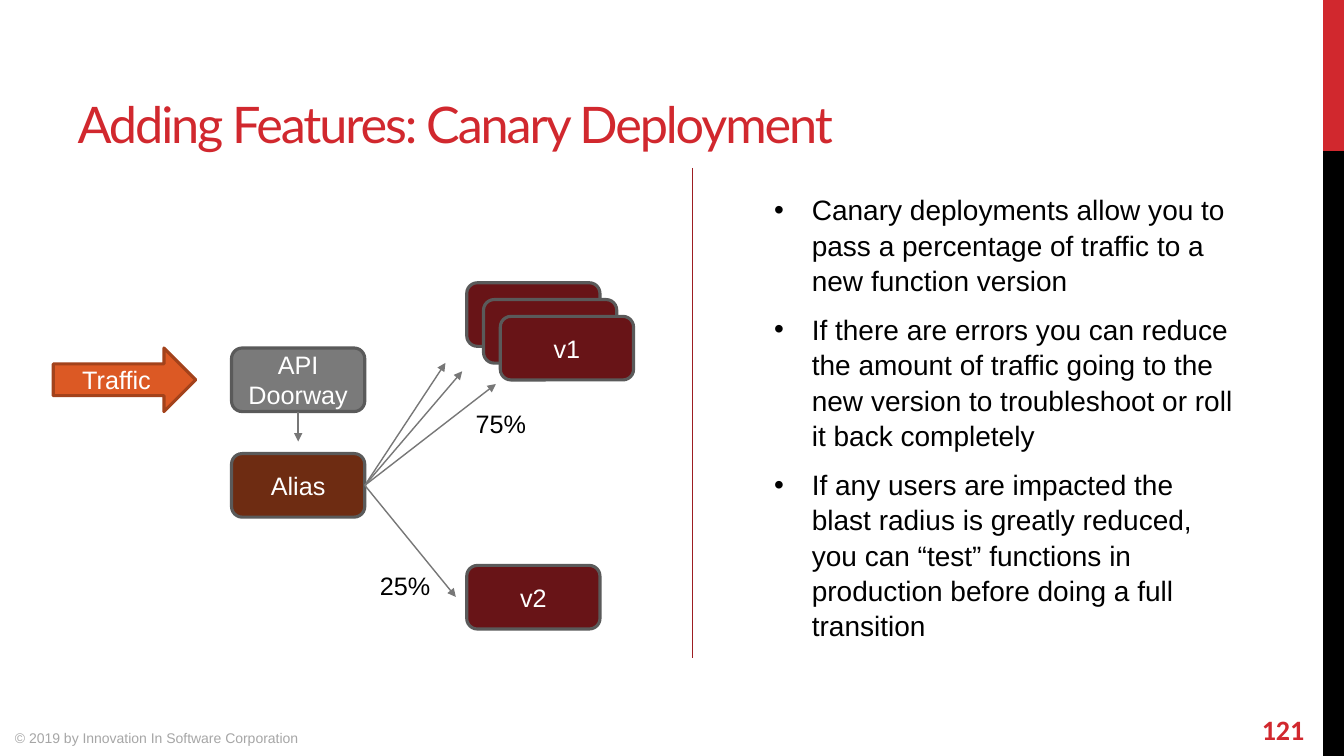
"""Build the canary deployment slide."""
from dataclasses import dataclass

import pptx
import pptx.dml.color
import pptx.enum.shapes
import pptx.enum.text
import pptx.oxml.ns
import pptx.shapes.autoshape
import pptx.shapes.base
import pptx.shapes.connector
import pptx.slide
import pptx.text.text
import pptx.util
from lxml import etree

Pt = pptx.util.Pt
Shape = pptx.enum.shapes.MSO_SHAPE
Align = pptx.enum.text.PP_ALIGN
Anchor = pptx.enum.text.MSO_ANCHOR
AutoSize = pptx.enum.text.MSO_AUTO_SIZE
qn = pptx.oxml.ns.qn
RIGHT_SIDE, BOTTOM_SIDE = 3, 2


@dataclass(frozen=True)
class Theme:
    """Colours, fonts and type sizes."""
    red: str = "D1282E"
    divider: str = "9D1E22"
    black: str = "000000"
    white: str = "FFFFFF"
    footer: str = "A6A6A6"
    traffic: str = "DC5924"
    traffic_edge: str = "A3421B"
    gateway: str = "7A7A7A"
    alias: str = "6E2C12"
    version: str = "681417"
    node_edge: str = "5A5A5A"
    arrow: str = "777777"
    title_font: str = "Lato"
    body_font: str = "Arial"
    number_font: str = "Calibri"
    title_size: float = 36
    body_size: float = 20
    label_size: float = 18
    footer_size: float = 10


THEME = Theme()


@dataclass(frozen=True)
class Box:
    """A rectangle in points."""
    left: float
    top: float
    width: float
    height: float

    def lengths(self) -> list[pptx.util.Length]:
        """Return the four lengths for a shape call."""
        return [Pt(v) for v in (self.left, self.top, self.width, self.height)]


@dataclass(frozen=True)
class Node:
    """A labelled step of the traffic flow."""
    label: str
    left: float
    top: float
    fill: str
    width: float = 95.2
    edge: str = THEME.node_edge
    outline: Shape = Shape.ROUNDED_RECTANGLE


@dataclass(frozen=True)
class Label:
    """A free-standing text."""
    text: str
    box: Box
    size: float = THEME.label_size
    color: str = THEME.black
    font: str = THEME.body_font
    bold: bool = False
    align: Align = Align.LEFT
    anchor: Anchor = Anchor.TOP
    wrap: bool = True


NODE_HEIGHT = 45.4
VERSION_LEFT, VERSION_TOP, VERSION_STEP = 333.4, 202, 12
TRAFFIC = Node("Traffic", 38, 248.6, THEME.traffic, 101.8, THEME.traffic_edge, Shape.RIGHT_ARROW)
GATEWAY = Node("API Doorway", 165.4, 248.6, THEME.gateway)
ALIAS = Node("Alias", 165.4, 324, THEME.alias)
VERSIONS = [
    *(Node("v1", VERSION_LEFT + i * VERSION_STEP, VERSION_TOP + i * VERSION_STEP, THEME.version)
      for i in range(3)),
    Node("v2", VERSION_LEFT, 403.9, THEME.version),
]
ROUTE_ENDS = [(318.2, 259.2), (330.2, 265.2), (354.2, 274.3), (325.6, 426.4)]
SIDE_BANDS = [(Box(945, 0, 15, 108), THEME.red), (Box(945, 108, 15, 432), THEME.black)]
LABELS = [
    Label("121", Box(835.2, 502, 103.7, 38), THEME.body_size, THEME.red, THEME.number_font,
          True, Align.RIGHT, Anchor.MIDDLE),
    Label("© 2019 by Innovation In Software Corporation", Box(3.6, 517.7, 360, 22.3),
          THEME.footer_size, THEME.footer),
    Label("75%", Box(332.6, 288, 51.1, 29), wrap=False),
    Label("25%", Box(264.2, 403.9, 51.1, 29), wrap=False),
]
BENEFITS = [
    "Canary deployments allow you to pass a percentage of traffic to a new function version",
    "If there are errors you can reduce the amount of traffic going to the new version "
    "to troubleshoot or roll it back completely",
    "If any users are impacted the blast radius is greatly reduced, you can “test” functions "
    "in production before doing a full transition",
]


def rgb(color: str) -> pptx.dml.color.RGBColor:
    """Turn a hex string into a colour."""
    return pptx.dml.color.RGBColor.from_string(color)


def write(frame: pptx.text.text.TextFrame, *texts: str, size: float = THEME.label_size,
          color: str = THEME.black, font: str = THEME.body_font, bold: bool = False,
          align: Align = Align.LEFT, anchor: Anchor = Anchor.TOP, wrap: bool = True,
          tracking: float = 0, bullet: bool = False) -> None:
    """Fill a text frame with one formatted paragraph per text."""
    frame.word_wrap = wrap
    frame.auto_size = AutoSize.NONE if wrap else AutoSize.SHAPE_TO_FIT_TEXT
    frame.vertical_anchor = anchor
    for index, text in enumerate(texts):
        paragraph = frame.add_paragraph() if index else frame.paragraphs[0]
        paragraph.alignment = align
        if bullet:
            properties = paragraph._p.get_or_add_pPr()
            properties.set("marL", str(Pt(27)))
            properties.set("indent", str(Pt(-27)))
            etree.SubElement(properties, qn("a:buFont")).set("typeface", font)
            etree.SubElement(properties, qn("a:buChar")).set("char", "•")
            paragraph.line_spacing = 1.05
            paragraph.space_after = Pt(6)
            if index:
                paragraph.space_before = Pt(4)
        run = paragraph.add_run()
        run.text = text
        run.font.size = Pt(size)
        run.font.name = font
        run.font.bold = bold
        run.font.color.rgb = rgb(color)
        if tracking:
            run.font._element.set("spc", str(round(tracking * 100)))


def add_block(slide: pptx.slide.Slide, outline: Shape, box: Box, fill: str,
              edge: str | None = None) -> pptx.shapes.autoshape.Shape:
    """Draw a filled shape, with an edge if a colour is given."""
    block = slide.shapes.add_shape(outline, *box.lengths())
    block.shadow.inherit = False
    block.fill.solid()
    block.fill.fore_color.rgb = rgb(fill)
    if edge:
        block.line.color.rgb = rgb(edge)
        block.line.width = Pt(2.25)
    else:
        block.line.fill.background()
    return block


def add_node(slide: pptx.slide.Slide, node: Node) -> pptx.shapes.autoshape.Shape:
    """Draw a labelled step."""
    box = Box(node.left, node.top, node.width, NODE_HEIGHT)
    block = add_block(slide, node.outline, box, node.fill, node.edge)
    write(block.text_frame, node.label, color=THEME.white, align=Align.CENTER, anchor=Anchor.MIDDLE)
    return block


def add_line(slide: pptx.slide.Slide, start: tuple[float, float], end: tuple[float, float],
             color: str, width: float) -> pptx.shapes.connector.Connector:
    """Draw a straight line without a shadow."""
    line = slide.shapes.add_connector(pptx.enum.shapes.MSO_CONNECTOR.STRAIGHT,
                                      *(Pt(v) for v in (*start, *end)))
    line.line.color.rgb = rgb(color)
    line.line.width = Pt(width)
    etree.SubElement(line._element.spPr, qn("a:effectLst"))
    return line


def add_arrow(slide: pptx.slide.Slide, source: pptx.shapes.base.BaseShape, side: int,
              end: tuple[float, float]) -> None:
    """Draw an arrow from the middle of a side of a step."""
    arrow = add_line(slide, end, end, THEME.arrow, 1)
    arrow.begin_connect(source, side)
    etree.SubElement(arrow.line._get_or_add_ln(), qn("a:tailEnd")).set("type", "triangle")


def main() -> None:
    """Build and save the slide."""
    deck = pptx.Presentation()
    deck.slide_width, deck.slide_height = Pt(960), Pt(540)
    slide = deck.slides.add_slide(deck.slide_layouts[5])
    for box, color in SIDE_BANDS:
        add_block(slide, Shape.RECTANGLE, box, color)
    add_line(slide, (494.6, 120), (494.6, 470), THEME.divider, 0.75)

    title = slide.shapes.title
    title.left, title.top, title.width, title.height = Box(48.2, 12.2, 809.3, 100.8).lengths()
    write(title.text_frame, "Adding Features: Canary Deployment", size=THEME.title_size,
          color=THEME.red, font=THEME.title_font, anchor=Anchor.BOTTOM, tracking=-1.5)
    benefits = slide.shapes.add_textbox(*Box(545.8, 113, 345.6, 362.2).lengths())
    benefits.text_frame.margin_top = Pt(23.5)
    write(benefits.text_frame, *BENEFITS, size=THEME.body_size, bullet=True)

    add_node(slide, TRAFFIC)
    gateway = add_node(slide, GATEWAY)
    alias = add_node(slide, ALIAS)
    add_arrow(slide, gateway, BOTTOM_SIDE, (GATEWAY.left + GATEWAY.width / 2, 315.4))
    for version in VERSIONS:
        add_node(slide, version)
    for end in ROUTE_ENDS:
        add_arrow(slide, alias, RIGHT_SIDE, end)
    for label in LABELS:
        caption = slide.shapes.add_textbox(*label.box.lengths())
        write(caption.text_frame, label.text, size=label.size, color=label.color, font=label.font,
              bold=label.bold, align=label.align, anchor=label.anchor, wrap=label.wrap)
    deck.save("out.pptx")


if __name__ == "__main__":
    main()
